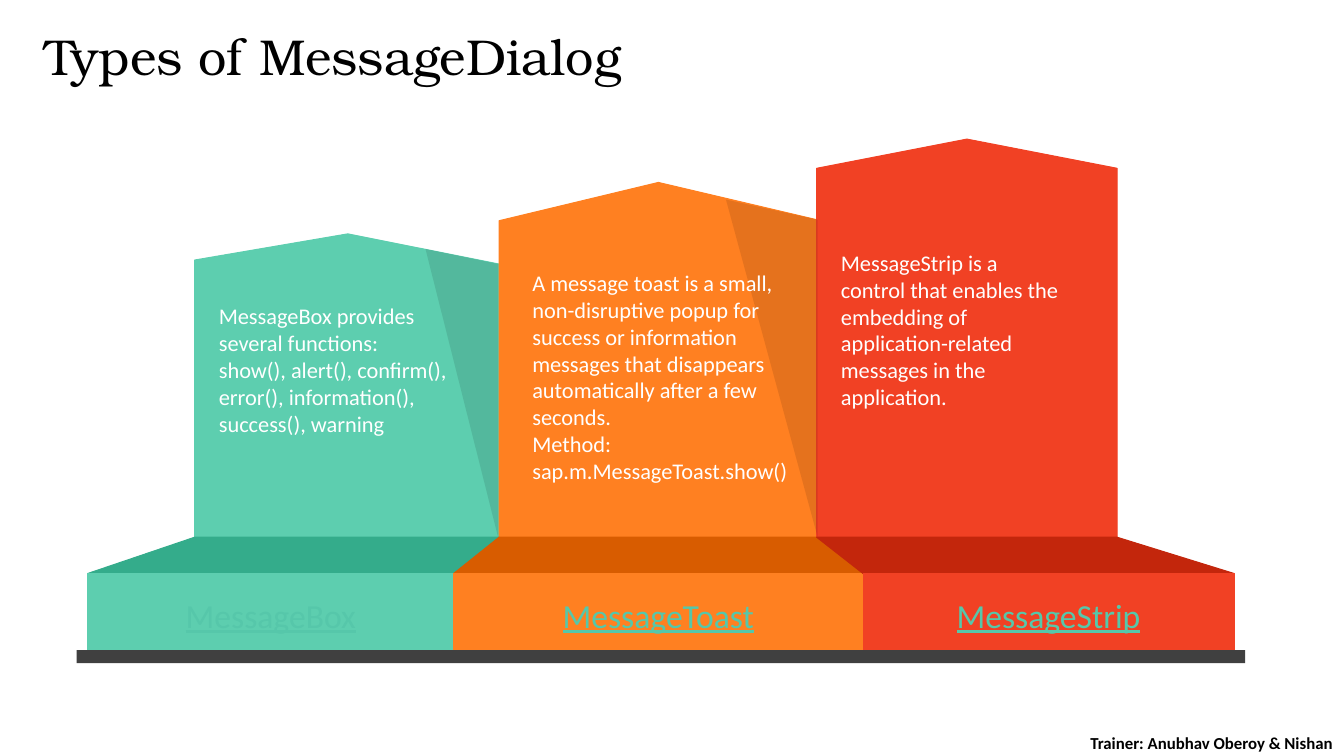
"""Build the slide that shows three message dialog types as a podium."""
from dataclasses import dataclass

from lxml import etree
from pptx import Presentation
from pptx.dml.color import RGBColor
from pptx.enum.shapes import MSO_SHAPE
from pptx.enum.text import MSO_ANCHOR, MSO_AUTO_SIZE, PP_ALIGN
from pptx.oxml.ns import qn
from pptx.util import Emu, Inches, Pt

COLUMNS, ROWS = 13.33, 7.5
CELL = Inches(1)
RECTANGLE = MSO_SHAPE.RECTANGLE
TOP, MIDDLE = MSO_ANCHOR.TOP, MSO_ANCHOR.MIDDLE
LEFT, CENTER, RIGHT = PP_ALIGN.LEFT, PP_ALIGN.CENTER, PP_ALIGN.RIGHT
GROW, FIXED = MSO_AUTO_SIZE.SHAPE_TO_FIT_TEXT, MSO_AUTO_SIZE.NONE

MINT = RGBColor(0x5D, 0xCE, 0xAF)
DARK_MINT = RGBColor(0x34, 0xAC, 0x8B)
ORANGE = RGBColor(0xFF, 0x80, 0x21)
DARK_ORANGE = RGBColor(0xD8, 0x5C, 0x00)
RED = RGBColor(0xF1, 0x41, 0x24)
DARK_RED = RGBColor(0xC3, 0x26, 0x0C)
LINK = RGBColor(0x56, 0xC7, 0xAA)
GRAY = RGBColor(0x40, 0x40, 0x40)
BLACK = RGBColor(0, 0, 0)
WHITE = RGBColor(0xFF, 0xFF, 0xFF)

WALL_EDGES = (1.93, 4.95, 8.1, 11.08)
BASE_EDGES = (0.87, 4.5, 8.56, 12.24)
FLOOR, FRONT, GROUND = 5.33, 5.69, 6.51
SHADE_ALPHA = "10000"

TITLE_FONT = {"name": "TeX Gyre Bonum", "size": Pt(36)}
LABEL_FONT = {"name": "Calibri", "size": Pt(24), "underline": True}
BODY_FONT = {"name": "Calibri", "size": Pt(16)}
TRAINER_FONT = {"name": "Calibri", "size": Pt(12), "bold": True}
NO_INSETS = {f"margin_{side}": 0 for side in ("left", "top", "right", "bottom")}

Point = tuple[float, float]
Box = tuple[float, float, float, float]


@dataclass(frozen=True)
class Dialog:
    """One dialog type with its wall, base and description."""
    label: str
    front: RGBColor
    ledge: RGBColor
    peak: Point
    shoulders: tuple[float, float]
    body_box: Box
    body: tuple[str, ...]


DIALOGS = (
    Dialog("MessageBox", MINT, DARK_MINT, (3.45, 2.32), (2.58, 2.62),
           (2.17, 3, 2.58, 1.58),
           ("MessageBox provides several functions:",
            "show(), alert(), confirm(), error(), information(), success(), warning")),
    Dialog("MessageToast", ORANGE, DARK_ORANGE, (6.53, 1.81), (2.19, 2.18),
           (5.28, 2.67, 2.6, 2.15),
           ("A message toast is a small, non-disruptive popup for success or information "
            "messages that disappears automatically after a few seconds.",
            "Method: sap.m.MessageToast.show()")),
    Dialog("MessageStrip", RED, DARK_RED, (9.59, 1.38), (1.67, 1.67),
           (8.34, 2.47, 2.21, 1.62),
           ("MessageStrip is a control that enables the embedding of "
            "application-related messages in the application.",)),
)
SHADES = (
    ((4.22, 2.47), (4.94, 2.62), (4.94, FLOOR)),
    ((7.2, 1.98), (8.11, 2.18), (8.11, FLOOR)),
)


def cells(*counts: float) -> list[Emu]:
    """Turn counts of grid cells into lengths."""
    return [Emu(round(count * CELL)) for count in counts]


def paint(shape, color: RGBColor, outlined: bool = True) -> None:
    """Give a shape a flat fill and an optional line of the same colour."""
    shape.shadow.inherit = False
    shape.fill.solid()
    shape.fill.fore_color.rgb = color
    if outlined:
        shape.line.color.rgb = color
        shape.line.width = Pt(0.75)
    else:
        shape.line.fill.background()


def add_polygon(slide, points: tuple[Point, ...], color: RGBColor, outlined: bool = True):
    """Draw a closed outline through the points."""
    start, *others = [cells(*point) for point in points]
    builder = slide.shapes.build_freeform(*start, scale=1.0)
    builder.add_line_segments(others, close=True)
    polygon = builder.convert_to_shape()
    paint(polygon, color, outlined)
    return polygon


def add_block(slide, box: Box, color: RGBColor, outlined: bool = True):
    """Draw a filled rectangle."""
    block = slide.shapes.add_shape(RECTANGLE, *cells(*box))
    paint(block, color, outlined)
    return block


def write(shape, lines: tuple[str, ...], font: dict, color: RGBColor,
          align=LEFT, **frame_format) -> None:
    """Fill a shape with formatted paragraphs."""
    frame = shape.text_frame
    frame.text = "\n".join(lines)
    frame_values = {"word_wrap": True, "auto_size": FIXED, "vertical_anchor": TOP}
    for name, value in (frame_values | frame_format).items():
        setattr(frame, name, value)
    for paragraph in frame.paragraphs:
        paragraph.alignment = align
        for run in paragraph.runs:
            run.font.color.rgb = color
            for name, value in font.items():
                setattr(run.font, name, value)


def add_wall(slide, dialog: Dialog, left: float, right: float) -> None:
    """Draw the peaked wall of a dialog type."""
    left_top, right_top = dialog.shoulders
    add_polygon(slide, (dialog.peak, (left, left_top), (left, FLOOR),
                        (right, FLOOR), (right, right_top)), dialog.front)


def add_shade(slide, points: tuple[Point, ...]) -> None:
    """Draw a see-through shadow on a wall."""
    shade = add_polygon(slide, points, BLACK, outlined=False)
    tint = next(shade.fill._xPr.iter(qn("a:srgbClr")))
    etree.SubElement(tint, qn("a:alpha"), val=SHADE_ALPHA)


def add_base(slide, dialog: Dialog, wall: Point, base: Point) -> None:
    """Draw the ledge and the labelled front of a dialog type."""
    add_polygon(slide, ((wall[0], FLOOR), (wall[1], FLOOR),
                        (base[1], FRONT), (base[0], FRONT)), dialog.ledge)
    block = add_block(slide, (base[0], FRONT, base[1] - base[0], GROUND - FRONT), dialog.front)
    write(block, (dialog.label,), LABEL_FONT, LINK, CENTER, vertical_anchor=MIDDLE)


def main() -> None:
    """Build and save the slide."""
    deck = Presentation()
    deck.slide_width, deck.slide_height = cells(COLUMNS, ROWS)
    slide = deck.slides.add_slide(deck.slide_layouts[5])
    title = slide.shapes.title
    title.left, title.top, title.width, title.height = cells(0.34, 0.2, 11.67, 0.71)
    write(title, ("Types of MessageDialog",), TITLE_FONT, BLACK, auto_size=GROW)

    walls = list(zip(WALL_EDGES, WALL_EDGES[1:]))
    bases = list(zip(BASE_EDGES, BASE_EDGES[1:]))
    for dialog, wall in zip(DIALOGS, walls):
        add_wall(slide, dialog, *wall)
    for points in SHADES:
        add_shade(slide, points)
    for dialog, wall, base in zip(DIALOGS, walls, bases):
        add_base(slide, dialog, wall, base)
    add_block(slide, (0.76, 6.45, 11.59, 0.13), GRAY, outlined=False)
    for dialog in DIALOGS:
        body = slide.shapes.add_textbox(*cells(*dialog.body_box))
        write(body, dialog.body, BODY_FONT, WHITE, auto_size=GROW, **NO_INSETS)

    trainer = slide.shapes.add_textbox(*cells(10.46, 7.21, 2.86, 0.31))
    write(trainer, ("Trainer: Anubhav Oberoy & Nishan",), TRAINER_FONT, BLACK, RIGHT,
          vertical_anchor=MIDDLE)
    deck.save("out.pptx")


if __name__ == "__main__":
    main()
